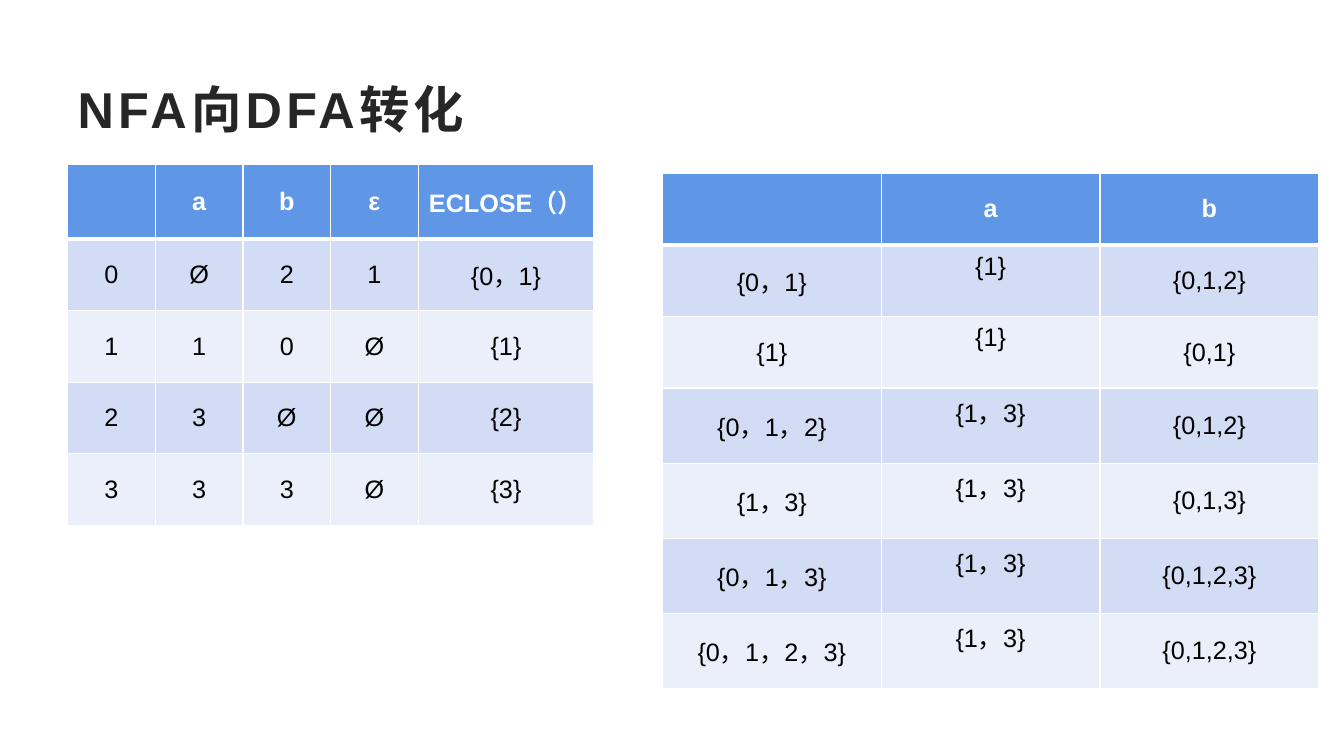
"""Build the slide on turning an NFA into a DFA."""
from lxml import etree
from pptx import Presentation, util as u
from pptx.dml.color import RGBColor
from pptx.enum import text
from pptx.oxml import ns

WIDTH, HEIGHT = u.Inches(13.33), u.Inches(7.5)
MARGIN = u.Inches(0.67)
COL, ROW, TALL_ROW = u.Inches(0.87), u.Inches(0.71), u.Inches(0.745)
WIDE_COL = u.Inches(2.17)
INK = RGBColor(0x26, 0x26, 0x26)
BLACK = RGBColor(0, 0, 0)
WHITE = RGBColor(0xFF, 0xFF, 0xFF)
HEADER = RGBColor(0x60, 0x96, 0xE6)
BANDS = RGBColor(0xEA, 0xEF, 0xFA), RGBColor(0xD2, 0xDD, 0xF5)

NFA = [
    ["", "a", "b", "ε", "ECLOSE（）"],
    ["0", "Ø", "2", "1", "{0，1}"],
    ["1", "1", "0", "Ø", "{1}"],
    ["2", "3", "Ø", "Ø", "{2}"],
    ["3", "3", "3", "Ø", "{3}"],
]
DFA = [
    ["", "a", "b"],
    ["{0，1}", "{1}", "{0,1,2}"],
    ["{1}", "{1}", "{0,1}"],
    ["{0，1，2}", "{1，3}", "{0,1,2}"],
    ["{1，3}", "{1，3}", "{0,1,3}"],
    ["{0，1，3}", "{1，3}", "{0,1,2,3}"],
    ["{0，1，2，3}", "{1，3}", "{0,1,2,3}"],
]


def set_font(font, color, **values):
    """Apply a colour and a set of format values to a font."""
    font.color.rgb = color
    for name, value in values.items():
        setattr(font, name, value)


def set_borders(cell, row):
    """Draw white cell borders, with a thick rule below the header."""
    tc_pr = cell._tc.get_or_add_tcPr()
    points = {"L": 1, "R": 1, "T": 3 if row == 1 else 1, "B": 3 if row == 0 else 1}
    for i, (side, width) in enumerate(points.items()):
        ln = etree.Element(ns.qn("a:ln" + side), w=str(u.Pt(width)))
        fill = etree.SubElement(ln, ns.qn("a:solidFill"))
        etree.SubElement(fill, ns.qn("a:srgbClr"), val=str(WHITE))
        tc_pr.insert(i, ln)


def add_title(slide, words):
    """Fill and format the title placeholder."""
    sp = slide.shapes.title
    place = {"left": MARGIN, "top": u.Inches(0.69),
             "width": WIDTH - 2 * MARGIN, "height": u.Inches(0.77)}
    for name, value in place.items():
        setattr(sp, name, value)
    tf = sp.text_frame
    tf.vertical_anchor = text.MSO_ANCHOR.MIDDLE
    p = tf.paragraphs[0]
    p.alignment = text.PP_ALIGN.LEFT
    r = p.add_run()
    r.text = words
    set_font(r.font, INK, name="Arial", size=u.Pt(36), bold=True)
    r.font._element.set("spc", "300")


def add_transitions(slide, rows, left, top, widths, heights, raised=None):
    """Add a banded transition table; the raised column sits half a line higher."""
    table = slide.shapes.add_table(len(rows), len(widths), left, top,
                                   sum(widths), sum(heights)).table
    for column, width in zip(table.columns, widths):
        column.width = width
    for i, (values, height) in enumerate(zip(rows, heights)):
        table.rows[i].height = height
        for j, value in enumerate(values):
            cell = table.cell(i, j)
            cell.vertical_anchor = text.MSO_ANCHOR.MIDDLE
            cell.fill.solid()
            cell.fill.fore_color.rgb = BANDS[i % 2] if i else HEADER
            set_borders(cell, i)
            if i and j == raised:
                cell.margin_bottom = u.Inches(0.33)
            p = cell.text_frame.paragraphs[0]
            p.alignment = text.PP_ALIGN.CENTER
            if value:
                r = p.add_run()
                r.text = value
                set_font(r.font, BLACK if i else WHITE,
                         name="Arial", size=u.Pt(18), bold=i == 0)


def main():
    """Lay out the title and both tables, then save."""
    prs = Presentation()
    prs.slide_width, prs.slide_height = WIDTH, HEIGHT
    slide = prs.slides.add_slide(prs.slide_layouts[5])
    add_title(slide, "NFA向DFA转化")
    add_transitions(slide, NFA, MARGIN, u.Inches(1.63),
                    [COL] * 4 + [2 * COL], [ROW] * 5)
    add_transitions(slide, DFA, u.Inches(6.57), u.Inches(1.72),
                    [WIDE_COL] * 3, [ROW] * 3 + [TALL_ROW] * 4, raised=1)
    prs.save("out.pptx")


if __name__ == "__main__":
    main()
